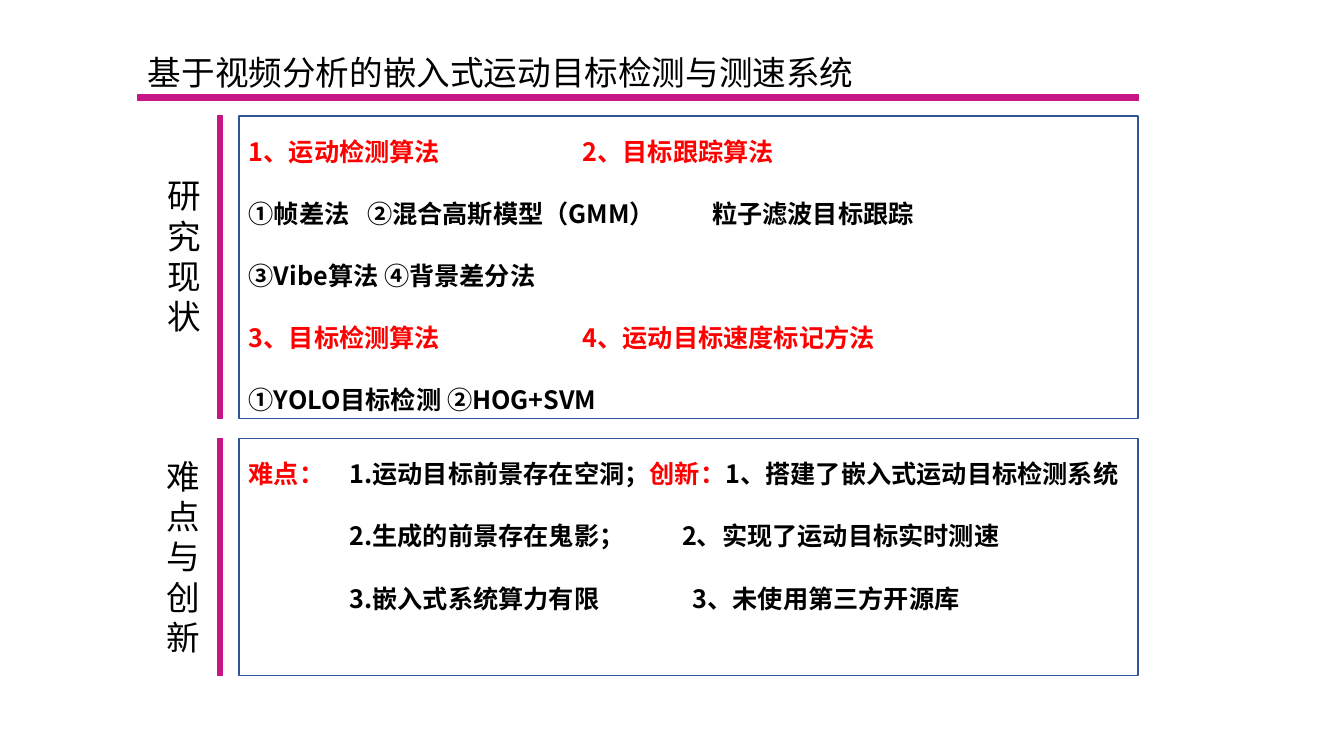
from lxml.etree import SubElement
from pptx import Presentation
from pptx.dml.color import RGBColor
from pptx.enum.shapes import MSO_SHAPE
from pptx.enum.text import MSO_ANCHOR, PP_ALIGN
from pptx.oxml.ns import qn
from pptx.util import Pt

FONT = "Noto Sans CJK SC"
MAGENTA = RGBColor(0xC7, 0x15, 0x85)
BLUE = RGBColor(0x2F, 0x55, 0x97)
RED = RGBColor(0xFF, 0x00, 0x00)
BLACK = RGBColor(0x00, 0x00, 0x00)

presentation = Presentation()
presentation.slide_width = Pt(960)
presentation.slide_height = Pt(540)
slide = presentation.slides.add_slide(presentation.slide_layouts[6])


def add_run(paragraph, text, size, color, bold=False):
    run = paragraph.add_run()
    run.text = text
    run.font.size = Pt(size)
    run.font.bold = bold
    run.font.color.rgb = color
    run.font.name = FONT
    SubElement(run.font._element, qn("a:ea"), typeface=FONT)


def add_rectangle(left, top, width, height, line_color):
    shape = slide.shapes.add_shape(
        MSO_SHAPE.RECTANGLE, Pt(left), Pt(top), Pt(width), Pt(height))
    shape.shadow.inherit = False
    shape.line.color.rgb = line_color
    shape.line.width = Pt(1)
    return shape


# Bars: beside each section and under the title
for bar_box in [(155.5, 82.8, 3.6, 216), (98.6, 67.7, 714.2, 4.3),
                (155.5, 313.2, 3.6, 169.2)]:
    bar = add_rectangle(*bar_box, MAGENTA)
    bar.fill.solid()
    bar.fill.fore_color.rgb = MAGENTA

# Title and the narrow section labels, one character to a line
labels = [
    ("基于视频分析的嵌入式运动目标检测与测速系统", (98.6, 33.8, 523.4, 36), False),
    ("研究现状", (112.3, 121.7, 26, 123.8), True),
    ("难点与创新", (111.6, 321.8, 26, 152.6), True),
]
for text, label_box, wraps in labels:
    label = slide.shapes.add_textbox(*[Pt(length) for length in label_box])
    label.text_frame.word_wrap = wraps
    add_run(label.text_frame.paragraphs[0], text, 24, BLACK)

# Content: top and height of each panel, then tab stops and runs of each line
panels = [
    (82.8, 216, [
        ([238.5], [("1、运动检测算法\t2、目标跟踪算法", RED)]),
        ([84.5, 331], [("①帧差法\t②混合高斯模型（GMM）\t粒子滤波目标跟踪", BLACK)]),
        ([], [("③Vibe算法 ④背景差分法", BLACK)]),
        ([238.5], [("3、目标检测算法\t4、运动目标速度标记方法", RED)]),
        ([], [("①YOLO目标检测 ②HOG+SVM", BLACK)]),
    ]),
    (313.2, 169.2, [
        ([72], [("难点：\t", RED), ("1.运动目标前景存在空洞；", BLACK),
                ("创新：", RED), ("1、搭建了嵌入式运动目标检测系统", BLACK)]),
        ([72, 309.5], [("\t2.生成的前景存在鬼影；\t2、实现了运动目标实时测速", BLACK)]),
        ([72, 317], [("\t3.嵌入式系统算力有限\t3、未使用第三方开源库", BLACK)]),
    ]),
]
for top, height, lines in panels:
    panel = add_rectangle(170.6, top, 642.2, height, BLUE)
    panel.fill.background()
    frame = panel.text_frame
    frame.word_wrap = True
    frame.vertical_anchor = MSO_ANCHOR.TOP
    for index, (stops, runs) in enumerate(lines):
        paragraph = frame.add_paragraph() if index else frame.paragraphs[0]
        paragraph.alignment = PP_ALIGN.LEFT
        paragraph.line_spacing = 1.5
        paragraph.space_before = Pt(12 if index else 0)
        if stops:
            tab_list = SubElement(paragraph._p.get_or_add_pPr(), qn("a:tabLst"))
            for stop in stops:
                SubElement(tab_list, qn("a:tab"), pos=str(Pt(stop)), algn="l")
        for text, color in runs:
            add_run(paragraph, text, 18, color, bold=True)

presentation.save("out.pptx")
